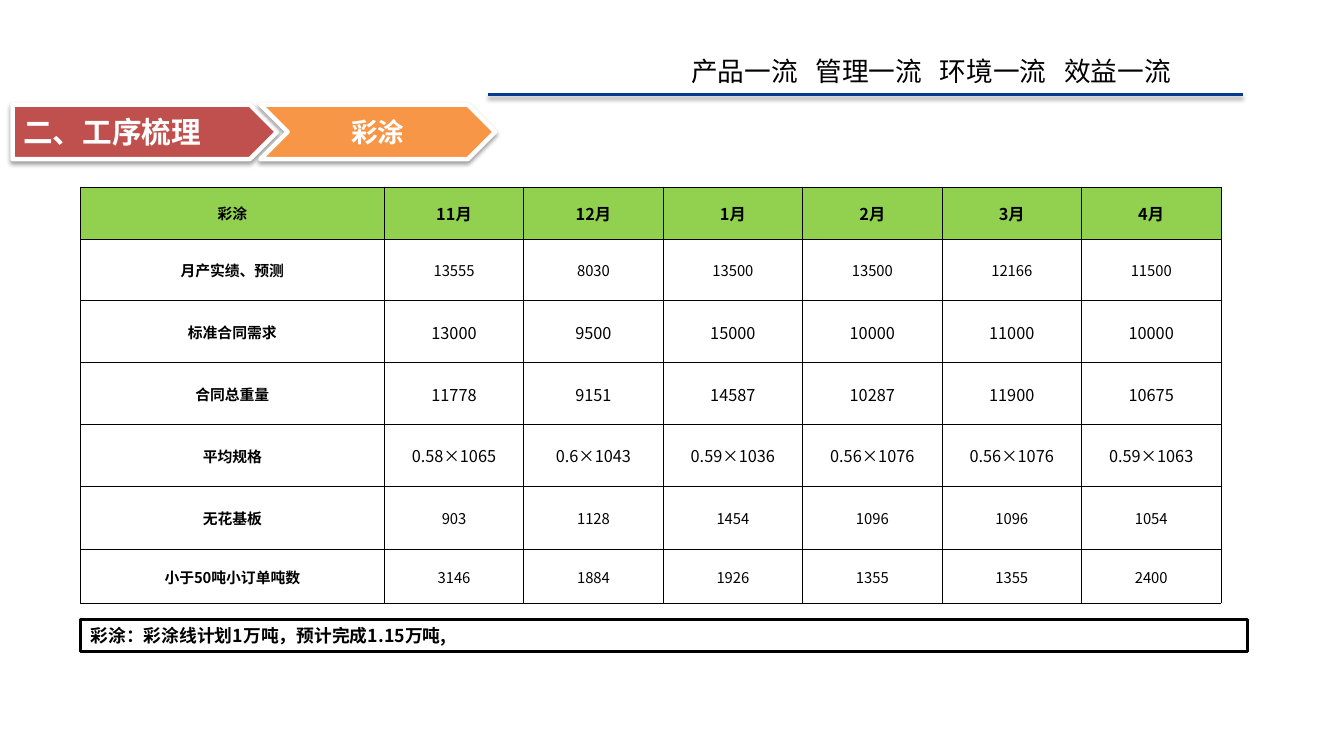
from lxml.etree import SubElement
from pptx import Presentation
from pptx.dml.color import RGBColor
from pptx.enum.shapes import MSO_CONNECTOR, MSO_SHAPE
from pptx.enum.text import MSO_ANCHOR, MSO_AUTO_SIZE, PP_ALIGN
from pptx.oxml.ns import qn
from pptx.util import Cm, Pt

FONT = "Noto Sans CJK SC"
BLACK = RGBColor(0x00, 0x00, 0x00)
WHITE = RGBColor(0xFF, 0xFF, 0xFF)
BLUE = RGBColor(0x00, 0x3B, 0x90)
RED = RGBColor(0xC0, 0x50, 0x4D)
ORANGE = RGBColor(0xF7, 0x96, 0x46)
GREEN = RGBColor(0x92, 0xD0, 0x50)

SLOGANS = ["产品一流", "管理一流", "环境一流", "效益一流"]
SLOGAN_PITCH = 2.96

MONTHS = ["彩涂", "11月", "12月", "1月", "2月", "3月", "4月"]
# Row label, value size in points, row height in cm, monthly values
MEASURES = [
    ("月产实绩、预测", 10, 1.47, ["13555", "8030", "13500", "13500", "12166", "11500"]),
    ("标准合同需求", 11, 1.47, ["13000", "9500", "15000", "10000", "11000", "10000"]),
    ("合同总重量", 11, 1.47, ["11778", "9151", "14587", "10287", "11900", "10675"]),
    ("平均规格", 11, 1.47, ["0.58×1065", "0.6×1043", "0.59×1036",
                        "0.56×1076", "0.56×1076", "0.59×1063"]),
    ("无花基板", 10, 1.52, ["903", "1128", "1454", "1096", "1096", "1054"]),
    ("小于50吨小订单吨数", 10, 1.27, ["3146", "1884", "1926", "1355", "1355", "2400"]),
]
LABEL_WIDTH, MONTH_WIDTH, HEADING_HEIGHT = 7.24, 3.32, 1.24


def write(frame, text, size, color=BLACK, bold=False, align=PP_ALIGN.LEFT, tabs=()):
    paragraph = frame.paragraphs[0]
    paragraph.alignment = align
    if tabs:
        stops = SubElement(paragraph._p.get_or_add_pPr(), qn("a:tabLst"))
        for stop in tabs:
            SubElement(stops, qn("a:tab"), pos=str(Cm(stop)), algn="l")
    run = paragraph.add_run()
    run.text = text
    font = run.font
    font.name, font.size, font.bold = FONT, Pt(size), bold
    font.color.rgb = color
    SubElement(run._r.get_or_add_rPr(), qn("a:ea"), typeface=FONT)


def cast_shadow(shape):
    effects = SubElement(shape._element.spPr, qn("a:effectLst"))
    shadow = SubElement(effects, qn("a:outerShdw"), blurRad=str(Pt(3.1)),
                        dist=str(Pt(1.6)), dir="5400000", rotWithShape="0")
    tint = SubElement(shadow, qn("a:srgbClr"), val=str(BLACK))
    SubElement(tint, qn("a:alpha"), val="38000")


def add_borders(cell):
    properties = cell._tc.get_or_add_tcPr()
    for side in ("lnL", "lnR", "lnT", "lnB"):
        border = SubElement(properties, qn(f"a:{side}"), w=str(Pt(0.5)))
        fill = SubElement(border, qn("a:solidFill"))
        SubElement(fill, qn("a:srgbClr"), val=str(BLACK))


class SlideBuilder:
    """Draws styled elements on one slide, with lengths in centimetres."""

    def __init__(self, slide):
        self.shapes = slide.shapes

    def text_box(self, box, text, size, **style):
        frame = self.shapes.add_textbox(*map(Cm, box)).text_frame
        frame.word_wrap = True
        frame.auto_size = MSO_AUTO_SIZE.SHAPE_TO_FIT_TEXT
        write(frame, text, size, **style)

    def rule(self, left, right, top, color, width):
        line = self.shapes.add_connector(
            MSO_CONNECTOR.STRAIGHT, Cm(left), Cm(top), Cm(right), Cm(top))
        line.line.color.rgb = color
        line.line.width = Pt(width)
        cast_shadow(line)

    def panel(self, preset, box, fill, outline, width, text, size,
              anchor=MSO_ANCHOR.MIDDLE, **style):
        shape = self.shapes.add_shape(preset, *map(Cm, box))
        shape.fill.solid()
        shape.fill.fore_color.rgb = fill
        shape.line.color.rgb = outline
        shape.line.width = Pt(width)
        shape.text_frame.vertical_anchor = anchor
        write(shape.text_frame, text, size, bold=True, **style)
        return shape

    def banner(self, preset, box, fill, text, size, **style):
        shape = self.panel(preset, box, fill, WHITE, 3, text, size, color=WHITE, **style)
        shape.adjustments[0] = 0.5
        cast_shadow(shape)

    def note(self, box, text, size):
        shape = self.panel(MSO_SHAPE.RECTANGLE, box, WHITE, BLACK, 2, text, size,
                           anchor=MSO_ANCHOR.TOP)
        shape.shadow.inherit = False
        shape.text_frame.auto_size = MSO_AUTO_SIZE.SHAPE_TO_FIT_TEXT

    def cell(self, cell, text, size, bold, fill):
        cell.margin_left = cell.margin_right = cell.margin_top = Cm(0.03)
        cell.margin_bottom = 0
        cell.vertical_anchor = MSO_ANCHOR.MIDDLE
        add_borders(cell)
        cell.fill.solid()
        cell.fill.fore_color.rgb = fill
        write(cell.text_frame, text, size, bold=bold, align=PP_ALIGN.CENTER)

    def monthly_table(self, left, top):
        widths = [LABEL_WIDTH] + [MONTH_WIDTH] * (len(MONTHS) - 1)
        heights = [HEADING_HEIGHT] + [height for _, _, height, _ in MEASURES]
        table = self.shapes.add_table(
            len(heights), len(widths), Cm(left), Cm(top),
            Cm(sum(widths)), Cm(sum(heights))).table
        table.first_row = table.horz_banding = False
        for column, width in zip(table.columns, widths):
            column.width = Cm(width)
        for row, height in zip(table.rows, heights):
            row.height = Cm(height)
        rows = [(MONTHS, 11)] + [([label, *values], size)
                                 for label, size, _, values in MEASURES]
        for r, (texts, size) in enumerate(rows):
            for c, text in enumerate(texts):
                self.cell(table.cell(r, c), text, size if c else 10,
                          bold=r == 0 or c == 0, fill=WHITE if r else GREEN)


def main():
    deck = Presentation()
    deck.slide_width, deck.slide_height = Cm(32), Cm(18)
    page = SlideBuilder(deck.slides.add_slide(deck.slide_layouts[6]))

    page.text_box((16.21, 1.17, 14.66, 1.02), "\t".join(SLOGANS), 18,
                  tabs=[SLOGAN_PITCH * n for n in range(1, len(SLOGANS))])
    page.rule(11.61, 29.59, 2.26, BLUE, 2)
    page.banner(MSO_SHAPE.PENTAGON, (0.3, 2.49, 6.3, 1.3), RED, "二、工序梳理", 20)
    page.banner(MSO_SHAPE.CHEVRON, (6.2, 2.49, 5.59, 1.3), ORANGE, "彩涂", 18,
                align=PP_ALIGN.CENTER)
    page.note((1.91, 14.76, 27.79, 0.76), "彩涂：彩涂线计划1万吨，预计完成1.15万吨,", 12)
    page.monthly_table(1.91, 4.45)

    deck.save("out.pptx")


if __name__ == "__main__":
    main()
